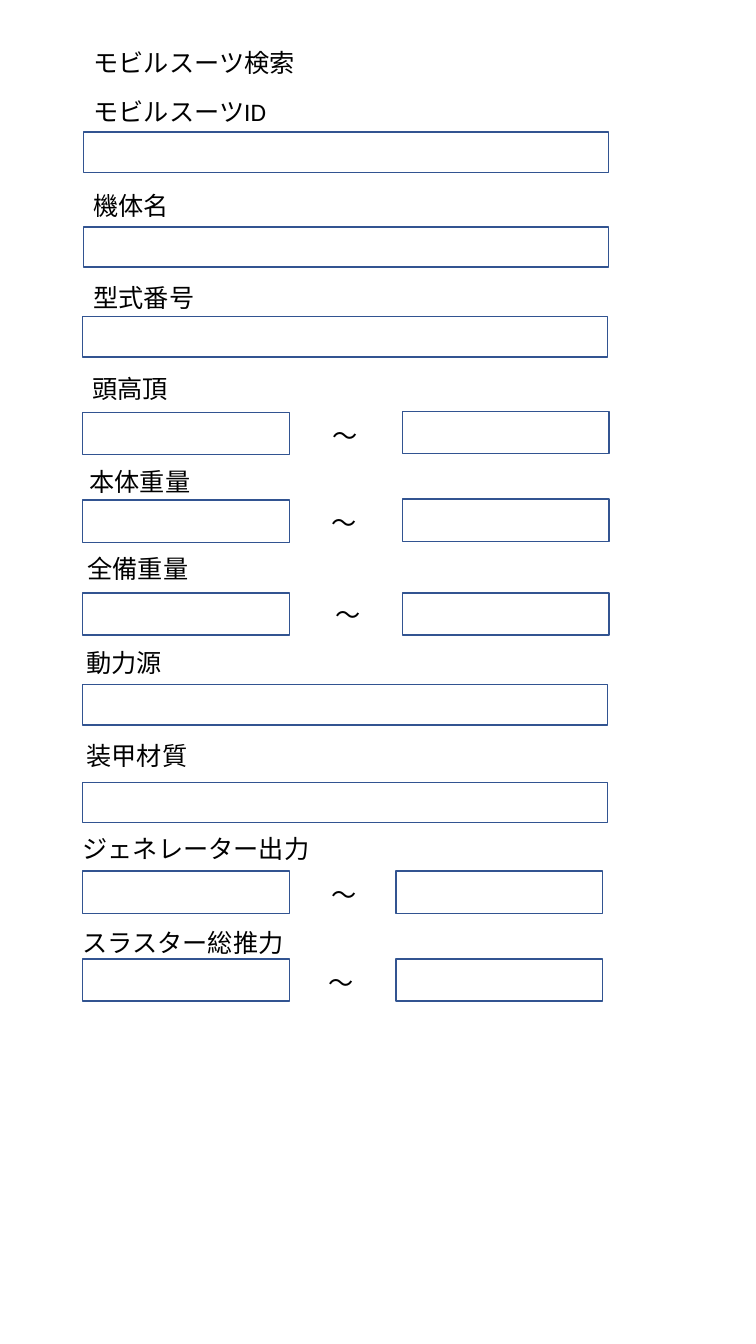
from pptx import Presentation
from pptx.dml.color import RGBColor
from pptx.enum.shapes import MSO_SHAPE
from pptx.enum.text import MSO_AUTO_SIZE
from pptx.util import Pt

PX = 9144
FIELD_LEFT = 82
LABEL_HEIGHT = 40
WIDE_FIELD = (521, 40)
RANGE_FIELD = (205, 42)

TEXT_ROWS = [
    ("モビルスーツID", 83, 91, 203, 83, 131),
    ("機体名", 83, 184, 164, 83, 225),
    ("型式番号", 83, 275, 164, 82, 314),
    ("動力源", 76, 637, 164, 82, 679),
    ("装甲材質", 76, 729, 164, 82, 776),
]
RANGE_ROWS = [
    ("頭高頂", 82, 365, 164, (82, 409), (320, 412), (399, 408)),
    ("本体重量", 79, 458, 164, (82, 496), (319, 498), (399, 495)),
    ("全備重量", 77, 544, 164, (82, 588), (323, 589), (399, 588)),
    ("ジェネレーター出力", 72, 822, 266, (82, 864), (319, 867), (393, 864)),
    ("スラスター総推力", 72, 915, 234, (82, 951), (316, 954), (393, 951)),
]


def px(*lengths):
    return [length * PX for length in lengths]


def color(value):
    return RGBColor.from_string(value)


def add_label(slide, text, left, top, width):
    label = slide.shapes.add_textbox(*px(left, top, width, LABEL_HEIGHT))
    frame = label.text_frame
    frame.word_wrap = True
    frame.auto_size = MSO_AUTO_SIZE.SHAPE_TO_FIT_TEXT
    paragraph = frame.paragraphs[0]
    paragraph.text = text
    paragraph.font.size = Pt(18)
    paragraph.font.name = "Calibri"
    paragraph.font.color.rgb = color("000000")


def add_field(slide, left, top, size):
    field = slide.shapes.add_shape(MSO_SHAPE.RECTANGLE, *px(left, top, *size))
    field.shadow.inherit = False
    field.fill.solid()
    field.fill.fore_color.rgb = color("FFFFFF")
    field.line.color.rgb = color("325491")
    field.line.width = Pt(1)


def add_text_row(slide, caption, left, top, width, field_left, field_top):
    add_label(slide, caption, left, top, width)
    add_field(slide, field_left, field_top, WIDE_FIELD)


def add_range_row(slide, caption, left, top, width, minimum, tilde, maximum):
    add_label(slide, caption, left, top, width)
    add_field(slide, *minimum, RANGE_FIELD)
    add_label(slide, "～", *tilde, 38)
    add_field(slide, *maximum, RANGE_FIELD)


def main():
    presentation = Presentation()
    presentation.slide_width, presentation.slide_height = px(750, 1333)
    slide = presentation.slides.add_slide(presentation.slide_layouts[6])
    add_label(slide, "モビルスーツ検索", 83, 42, 230)
    for row in TEXT_ROWS:
        add_text_row(slide, *row)
    for row in RANGE_ROWS:
        add_range_row(slide, *row)
    presentation.save("out.pptx")


if __name__ == "__main__":
    main()
